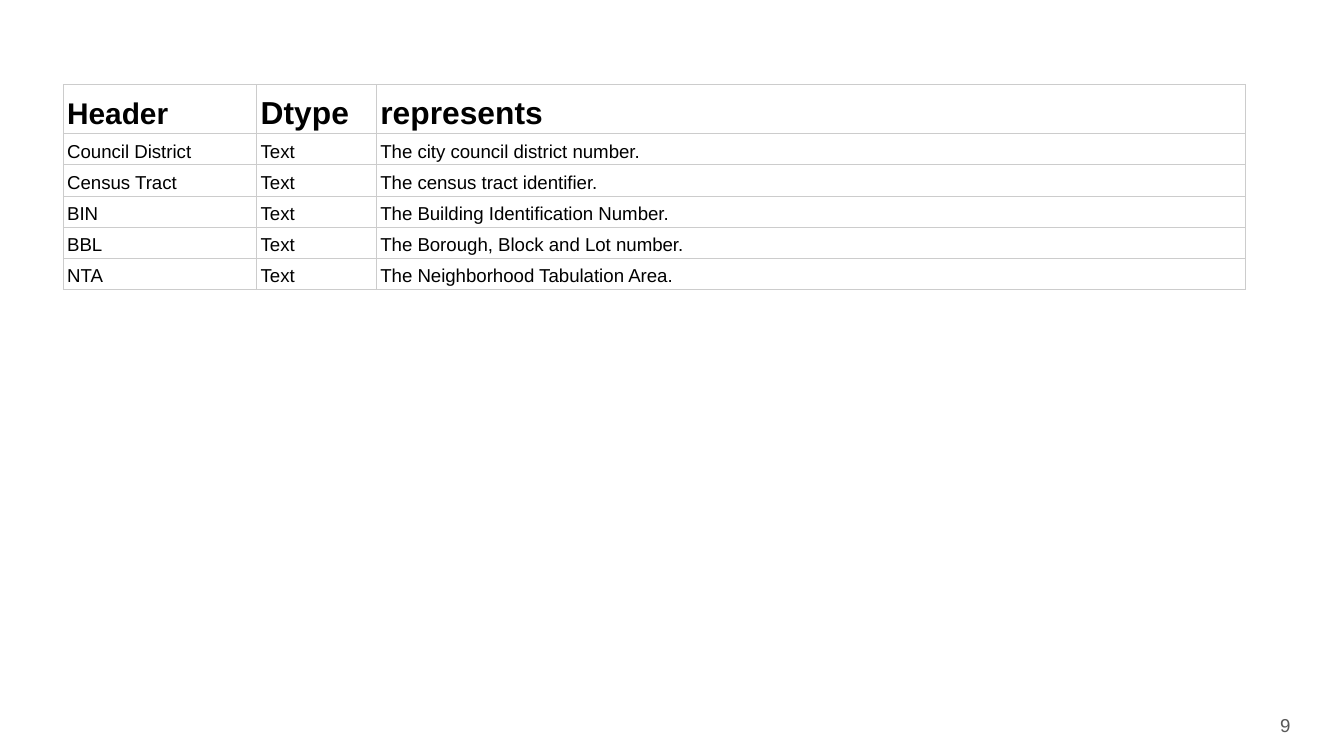
from lxml.etree import SubElement as Sub
from pptx import Presentation
from pptx.dml.color import RGBColor
from pptx.enum.text import MSO_ANCHOR as Anchor, PP_ALIGN as Align
from pptx.oxml.ns import qn
from pptx.util import Inches, Pt

BLACK = RGBColor(0x00, 0x00, 0x00)
GRAY = RGBColor(0x59, 0x59, 0x59)
RULE = RGBColor(0xCC, 0xCC, 0xCC)
FONT = "Arial"
WIDE = Inches(10)
HIGH = WIDE * 9 // 16
COLS = (0.144, 0.089, 0.647)
ROW = 0.04
HEAD = (16, 17, 17)
ROWS = (
    ("Header", "Dtype", "represents"),
    ("Council District", "Text", "The city council district number."),
    ("Census Tract", "Text", "The census tract identifier."),
    ("BIN", "Text", "The Building Identification Number."),
    ("BBL", "Text", "The Borough, Block and Lot number."),
    ("NTA", "Text", "The Neighborhood Tabulation Area."),
)


def share(x, y, w, h):
    """Turn shares of the slide into a position and a size."""
    return int(x * WIDE), int(y * HIGH), int(w * WIDE), int(h * HIGH)


def style(para, size, color, bold=False):
    """Format the runs of a paragraph."""
    for run in para.runs:
        font = run.font
        font.name, font.size, font.bold = FONT, Pt(size), bold
        font.color.rgb = color


def pad(item, across, down):
    """Set the side and the top and bottom margins of a cell or frame."""
    item.margin_left = item.margin_right = Inches(across)
    item.margin_top = item.margin_bottom = Inches(down)


def edge(cell):
    """Draw a thin line on each side of a cell."""
    props = cell._tc.get_or_add_tcPr()
    for side in ("lnL", "lnR", "lnT", "lnB"):
        line = Sub(props, qn(f"a:{side}"), w=str(Pt(0.5)))
        Sub(Sub(line, qn("a:solidFill")), qn("a:srgbClr"), val=str(RULE))


def fill_cell(cell, text, size, bold):
    """Write and format one cell."""
    edge(cell)
    cell.fill.background()
    cell.vertical_anchor = Anchor.BOTTOM
    pad(cell, 0.03, 0.02)
    para = cell.text_frame.paragraphs[0]
    para.text = text
    para.line_spacing = 1.15
    style(para, size, BLACK, bold)


def add_grid(slide):
    """Add the table of field names, types and meanings."""
    place = share(0.047, 0.112, sum(COLS), ROW * len(ROWS))
    grid = slide.shapes.add_table(len(ROWS), len(COLS), *place).table
    grid.first_row = grid.horz_banding = False
    for col, width in zip(grid.columns, COLS):
        col.width = int(width * WIDE)
    for r, words in enumerate(ROWS):
        for c, text in enumerate(words):
            size = 10 if r else HEAD[c]
            fill_cell(grid.cell(r, c), text, size, r == 0)


def add_page(slide, text):
    """Add the page number at the lower right."""
    frame = slide.shapes.add_textbox(*share(0.91, 0.921, 0.06, 0.077)).text_frame
    frame.word_wrap = True
    frame.vertical_anchor = Anchor.MIDDLE
    pad(frame, 0.1, 0.1)
    frame.text = text
    para = frame.paragraphs[0]
    para.alignment = Align.RIGHT
    style(para, 10, GRAY)


def main():
    """Build and save the slide."""
    deck = Presentation()
    deck.slide_width, deck.slide_height = WIDE, HIGH
    slide = deck.slides.add_slide(deck.slide_layouts[6])
    add_page(slide, "9")
    add_grid(slide)
    deck.save("out.pptx")


if __name__ == "__main__":
    main()
